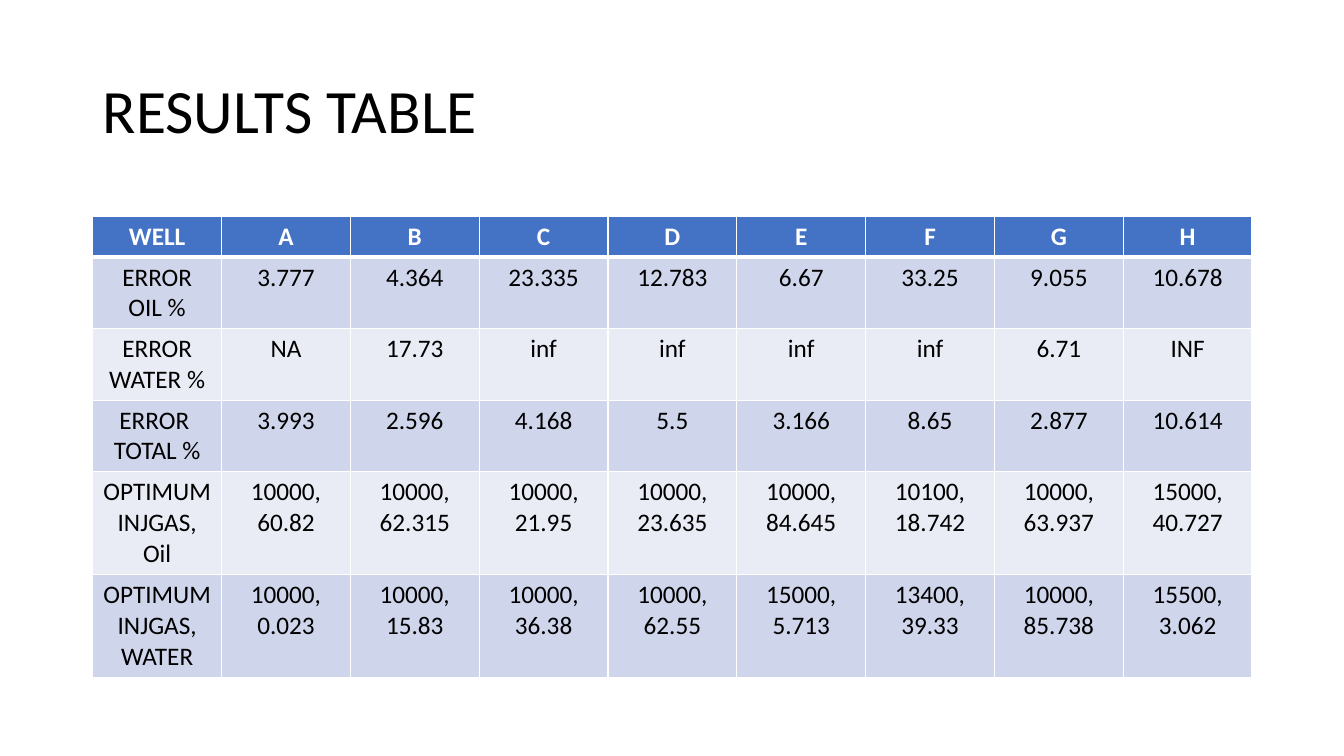
import pptx
import pptx.util
import pptx.dml.color
import pptx.enum.text
import pptx.oxml
import pptx.oxml.ns

Inches = pptx.util.Inches
Pt = pptx.util.Pt
RGBColor = pptx.dml.color.RGBColor
PP_ALIGN = pptx.enum.text.PP_ALIGN

FONT = "Calibri"
BLACK = RGBColor(0x00, 0x00, 0x00)
WHITE = RGBColor(0xFF, 0xFF, 0xFF)
HEADER_BLUE = RGBColor(0x44, 0x72, 0xC4)
BAND_DARK = RGBColor(0xCF, 0xD5, 0xEA)
BAND_LIGHT = RGBColor(0xE9, 0xEB, 0xF5)

# Each row: height in inches, then its cells
RESULTS = [
    (0.4, ["WELL", *"ABCDEFGH"]),
    (0.71, ["ERROR OIL %", "3.777", "4.364", "23.335", "12.783", "6.67",
            "33.25", "9.055", "10.678"]),
    (0.71, ["ERROR WATER %", "NA", "17.73", "inf", "inf", "inf", "inf",
            "6.71", "INF"]),
    (0.71, ["ERROR \nTOTAL %", "3.993", "2.596", "4.168", "5.5", "3.166",
            "8.65", "2.877", "10.614"]),
    (1.02, ["OPTIMUM\nINJGAS, Oil", "10000,\n60.82", "10000,\n62.315",
            "10000,\n21.95", "10000,\n23.635", "10000,\n84.645",
            "10100,\n18.742", "10000,\n63.937", "15000,\n40.727"]),
    (1.02, ["OPTIMUM\nINJGAS, WATER", "10000,\n0.023", "10000,\n15.83",
            "10000,\n36.38", "10000,\n62.55", "15000,\n5.713",
            "13400,\n39.33", "10000,\n85.738", "15500,\n3.062"]),
]


def format_text(frame, size, color, bold=False, align=PP_ALIGN.LEFT):
    for paragraph in frame.paragraphs:
        paragraph.alignment = align
        for span in paragraph.runs:
            span.font.name = FONT
            span.font.size = Pt(size)
            span.font.bold = bold
            span.font.color.rgb = color


def set_borders(cell, color, **widths):
    """Draw the cell's borders; widths are points keyed by side L, R, T, B."""
    properties = cell._tc.get_or_add_tcPr()
    for side, width in widths.items():
        properties.append(pptx.oxml.parse_xml(
            f'<a:ln{side} {pptx.oxml.ns.nsdecls("a")} w="{Pt(width)}">'
            f'<a:solidFill><a:srgbClr val="{color}"/></a:solidFill></a:ln{side}>'))


def add_title(page, left, top, width, height):
    box = page.shapes.add_textbox(left, top, width, height)
    frame = box.text_frame
    frame.word_wrap = True
    frame.vertical_anchor = pptx.enum.text.MSO_ANCHOR.MIDDLE
    frame.text = "RESULTS TABLE"
    frame.paragraphs[0].line_spacing = 0.9
    format_text(frame, 44, BLACK)


def add_results_table(page, left, top, width):
    height = Inches(sum(row_height for row_height, _ in RESULTS))
    columns = len(RESULTS[0][1])
    table = page.shapes.add_table(
        len(RESULTS), columns, left, top, width, height).table
    for column in table.columns:
        column.width = width // columns

    for row, (row_height, values) in enumerate(RESULTS):
        table.rows[row].height = Inches(row_height)
        header = row == 0
        band = BAND_DARK if row % 2 else BAND_LIGHT
        for column, value in enumerate(values):
            cell = table.cell(row, column)
            cell.text_frame.text = value
            format_text(cell.text_frame, 18, WHITE if header else BLACK,
                        bold=header, align=PP_ALIGN.CENTER)
            # A thick rule separates the header from the body
            set_borders(cell, WHITE, L=1, R=1, T=3 if row == 1 else 1,
                        B=3 if header else 1)
            cell.fill.solid()
            cell.fill.fore_color.rgb = HEADER_BLUE if header else band


deck = pptx.Presentation()
deck.slide_width = Inches(13.33)
deck.slide_height = Inches(7.5)
page = deck.slides.add_slide(deck.slide_layouts[6])

add_title(page, Inches(0.92), Inches(0.4), Inches(11.5), Inches(1.45))
add_results_table(page, Inches(0.92), Inches(2.15), Inches(11.5))

deck.save("out.pptx")
